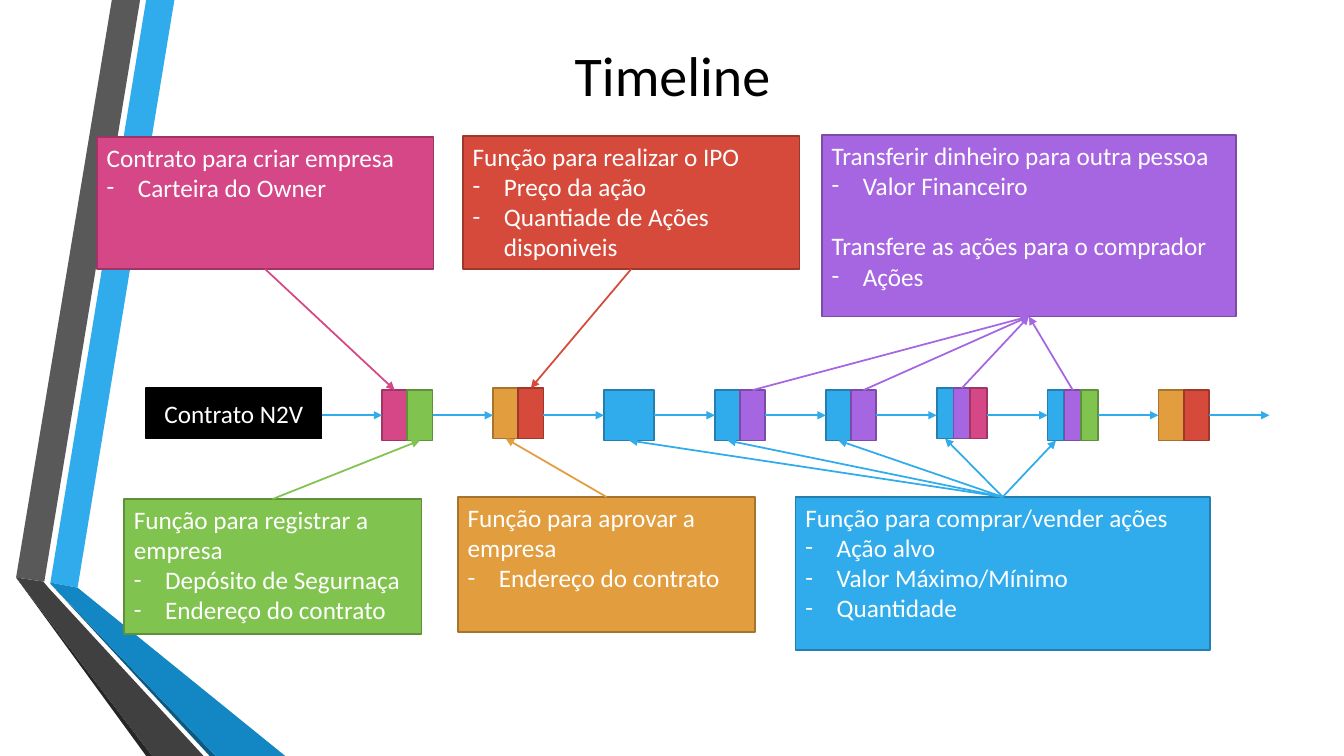
from dataclasses import dataclass
from lxml import etree
from pptx import Presentation
from pptx.dml.color import RGBColor
from pptx.enum.shapes import MSO_CONNECTOR as CONN, MSO_SHAPE as SHAPE
from pptx.enum.text import MSO_ANCHOR as ANCHOR, PP_ALIGN as ALIGN
from pptx.oxml.ns import qn
from pptx.util import Inches, Pt


@dataclass(frozen=True)
class Theme:
    font: str = "Calibri"
    title: int = 40
    body: int = 18
    line: float = 1.25
    black: str = "000000"
    white: str = "FFFFFF"


T = Theme()
# Role: (fill, outline)
COLORS = {
    "create": ("D64787", "9E3564"),
    "ipo": ("D64A3B", "9E372C"),
    "transfer": ("A666E1", "7B4BA6"),
    "register": ("80C34F", "5F903A"),
    "approve": ("E29D3E", "A7742E"),
    "trade": ("30ACEC", "247FAF"),
    "contract": (T.black, T.black),
}

# Content: role -> (left, top, width, height), paragraphs; "- " marks a bullet
CARDS = {
    "create": ((0.96, 1.36, 3.34, 1.31),
               ["Contrato para criar empresa", "- Carteira do Owner"]),
    "ipo": ((4.59, 1.35, 3.34, 1.32),
            ["Função para realizar o IPO", "- Preço da ação",
             "- Quantiade de Ações disponiveis"]),
    "transfer": ((8.15, 1.34, 4.11, 1.8),
                 ["Transferir dinheiro para outra pessoa", "- Valor Financeiro",
                  "Transfere as ações para o comprador", "- Ações"]),
    "register": ((1.23, 4.95, 2.95, 1.34),
                 ["Função para registrar a empresa", "- Depósito de Segurnaça",
                  "- Endereço do contrato"]),
    "approve": ((4.54, 4.93, 2.95, 1.34),
                ["Função para aprovar a empresa", "- Endereço do contrato"]),
    "trade": ((7.89, 4.93, 4.11, 1.52),
              ["Função para comprar/vender ações", "- Ação alvo",
               "- Valor Máximo/Mínimo", "- Quantidade"]),
}

# Timeline blocks: (top, roles from left to right)
BLOCKS = [
    (3.87, ["create", "register"]),
    (3.85, ["approve", "ipo"]),
    (3.87, ["trade"]),
    (3.87, ["trade", "transfer"]),
    (3.87, ["trade", "transfer"]),
    (3.85, ["trade", "transfer", "create"]),
    (3.87, ["trade", "transfer", "register"]),
    (3.87, ["approve", "ipo"]),
]
# Which blocks each card points to
LINKS = {"create": [0], "ipo": [1], "transfer": [3, 4, 5, 6],
         "register": [0], "approve": [1], "trade": [2, 3, 4, 5, 6]}

RIBBONS = [
    ("30ACEC", [(0.5, 5.78), (0.77, 5.83), (1.73, 0), (1.45, 0)]),
    ("595959", [(1.39, 0), (1.11, 0), (0.16, 5.73), (0.44, 5.77)]),
    ("262626", [(0.16, 5.73), (1.45, 7.5), (1.51, 7.5)]),
    ("0C5A82", [(0.5, 5.79), (2.08, 7.5), (2.14, 7.5)]),
    ("1287C3", [(0.5, 5.79), (2.14, 7.5), (2.83, 7.5), (0.77, 5.83), (0.5, 5.78)]),
    ("404040", [(2.02, 7.5), (0.48, 5.83), (0.43, 5.77), (0.16, 5.73), (1.51, 7.5)]),
]

FIRST, STEP, BLOCK, GAP, AXIS = 3.79, 1.1, 0.5, 0.6, 4.12
TOP, BOTTOM = 0, 2  # rectangle connection sites


def rgb(value):
    return RGBColor.from_string(value)


def write(p, text, size=T.body, color=T.white, align=ALIGN.LEFT, bullet=False, before=0):
    p.alignment = align
    p.space_before = Pt(before)
    if bullet:
        pPr = p._p.get_or_add_pPr()
        pPr.set("marL", str(Inches(0.31)))
        pPr.set("indent", str(-Inches(0.31)))
        etree.SubElement(pPr, qn("a:buFont")).set("typeface", T.font)
        etree.SubElement(pPr, qn("a:buChar")).set("char", "-")
    r = p.add_run()
    r.text = text
    f = r.font
    f.name, f.size = T.font, Pt(size)
    f.color.rgb = rgb(color)


def add_box(s, role, left, top, width, height):
    sp = s.shapes.add_shape(SHAPE.RECTANGLE, *map(Inches, (left, top, width, height)))
    fill, line = COLORS[role]
    sp.shadow.inherit = False
    sp.fill.solid()
    sp.fill.fore_color.rgb = rgb(fill)
    sp.line.color.rgb = rgb(line)
    sp.line.width = Pt(T.line)
    return sp


def add_arrow(s, role, x1=0, y1=0, x2=0, y2=0):
    c = s.shapes.add_connector(CONN.STRAIGHT, *map(Inches, (x1, y1, x2, y2)))
    c.line.color.rgb = rgb(COLORS[role][0])
    c.line.width = Pt(T.line)
    etree.SubElement(c.line._get_or_add_ln(), qn("a:tailEnd")).set("type", "triangle")
    etree.SubElement(c._element.spPr, qn("a:effectLst"))
    return c


prs = Presentation()
prs.slide_width, prs.slide_height = Inches(13.33), Inches(7.5)
s = prs.slides.add_slide(prs.slide_layouts[5])

# Folded ribbons
for color, points in RIBBONS:
    start, *rest = [(Inches(x), Inches(y)) for x, y in points]
    builder = s.shapes.build_freeform(*start)
    builder.add_line_segments(rest, close=True)
    sp = builder.convert_to_shape()
    sp.shadow.inherit = False
    sp.fill.solid()
    sp.fill.fore_color.rgb = rgb(color)
    sp.line.fill.background()

# Title
title = s.shapes.title
title.left, title.top, title.width, title.height = map(Inches, (1.19, 0.07, 10.96, 1.34))
title.text_frame.vertical_anchor = ANCHOR.MIDDLE
write(title.text_frame.paragraphs[0], "Timeline", size=T.title, color=T.black,
      align=ALIGN.CENTER)

# Cards
cards = {}
for role, (place, lines) in CARDS.items():
    cards[role] = add_box(s, role, *place)
    tf = cards[role].text_frame
    tf.word_wrap = True
    tf.vertical_anchor = ANCHOR.TOP
    for i, line in enumerate(lines):
        p = tf.add_paragraph() if i else tf.paragraphs[0]
        bullet = line.startswith("- ")
        new_section = i > 0 and not bullet
        write(p, line.removeprefix("- "), bullet=bullet, before=21.6 if new_section else 0)

# Timeline: contract, blocks and the arrows between them
contract = add_box(s, "contract", 1.45, 3.85, 1.74, BLOCK)
contract.text_frame.vertical_anchor = ANCHOR.MIDDLE
write(contract.text_frame.paragraphs[0], "Contrato N2V", align=ALIGN.CENTER)
cells = {}
for i, (top, roles) in enumerate(BLOCKS):
    width = BLOCK / len(roles)
    for j, role in enumerate(roles):
        cells[i, role] = add_box(s, role, FIRST + i * STEP + j * width, top, width, BLOCK)
for i in range(len(BLOCKS) + 1):
    x = FIRST + i * STEP
    add_arrow(s, "trade", x - GAP, AXIS, x, AXIS)

# Links between cards and blocks; transfer arrows run towards their card
for role, targets in LINKS.items():
    above = CARDS[role][0][1] < AXIS
    for i in targets:
        ends = [(cards[role], BOTTOM if above else TOP),
                (cells[i, role], TOP if above else BOTTOM)]
        if role == "transfer":
            ends.reverse()
        arrow = add_arrow(s, role)
        arrow.begin_connect(*ends[0])
        arrow.end_connect(*ends[1])

prs.save("out.pptx")
